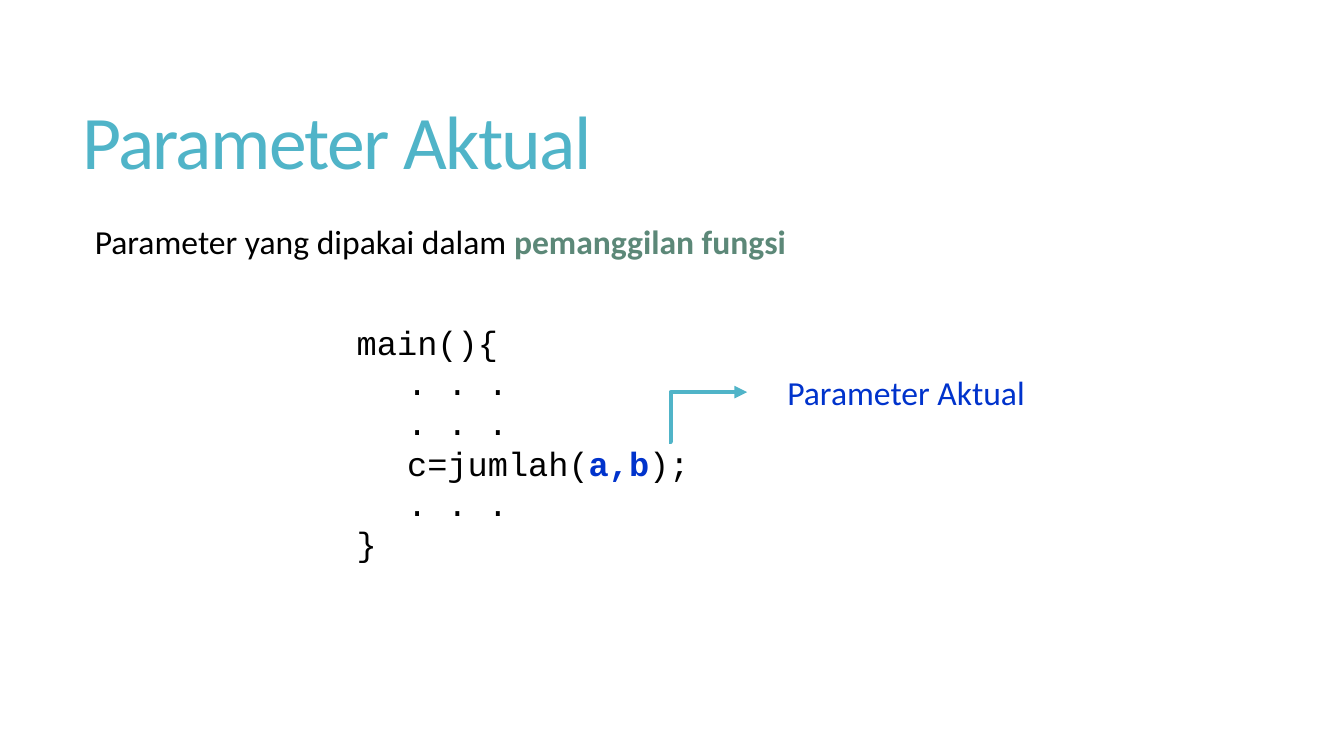
from pptx import Presentation, util as u
from pptx.dml.color import RGBColor
from pptx.enum import shapes, text
from pptx.oxml import ns
from lxml import etree

HUES = {"teal": "50B4C8", "black": "000000", "green": "5C8878",
        "blue": "0033CC", "white": "FFFFFF"}
CODE = [
    [("main(){", "black")],
    [("\t. . .", "black")],
    [("\t. . .", "black")],
    [("\tc=jumlah(", "black"), ("a,b", "blue", True), (");", "black")],
    [("\t. . .", "black")],
    [("}", "black")],
]


def hue(name):
    """Return the named colour."""
    return RGBColor.from_string(HUES[name])


def add_text(slide, box, lines, size=24, face="Calibri", frame=None, para=None):
    """Add a text box whose lines are lists of (words, colour, bold) runs."""
    shape = slide.shapes.add_textbox(*map(u.Inches, box))
    body = shape.text_frame
    for key, val in (frame or {}).items():
        setattr(body, key, val)
    for num, line in enumerate(lines):
        par = body.add_paragraph() if num else body.paragraphs[0]
        for key, val in (para or {}).items():
            setattr(par, key, val)
        for words, tint, *bold in line:
            run = par.add_run()
            run.text = words
            look = {"size": u.Pt(size), "name": face, "bold": bool(bold)}
            for key, val in look.items():
                setattr(run.font, key, val)
            run.font.color.rgb = hue(tint)
    return shape


def add_title(slide, box, words):
    """Add the large, tightly spaced heading."""
    shape = add_text(slide, box, [[(words, "teal")]], 54,
                     frame={"word_wrap": True,
                            "vertical_anchor": text.MSO_ANCHOR.MIDDLE},
                     para={"line_spacing": 0.85})
    run = shape.text_frame.paragraphs[0].runs[0]
    run.font._element.set("spc", "-120")


def add_arrow(slide, start, end, bend):
    """Add an elbow arrow that turns at the given share of its width."""
    ends = map(u.Inches, start + end)
    link = slide.shapes.add_connector(shapes.MSO_CONNECTOR.ELBOW, *ends)
    link.line.color.rgb = hue("teal")
    link.line.width = u.Pt(3)
    props = link._element.spPr
    guides = props.find(ns.qn("a:prstGeom")).get_or_add_avLst()
    etree.SubElement(guides, ns.qn("a:gd"), name="adj1",
                     fmla=f"val {round(bend * 100000)}")
    etree.SubElement(link.line._get_or_add_ln(), ns.qn("a:tailEnd"),
                     type="triangle")
    etree.SubElement(props, ns.qn("a:effectLst"))


def main():
    """Build and save the slide."""
    deck = Presentation()
    deck.slide_width, deck.slide_height = u.Inches(13.33), u.Inches(7.5)
    slide = deck.slides.add_slide(deck.slide_layouts[6])
    tight = {"word_wrap": False, "auto_size": text.MSO_AUTO_SIZE.SHAPE_TO_FIT_TEXT}

    add_title(slide, (0.72, 0.55, 11.78, 1.81), "Parameter Aktual")
    intro = [("Parameter yang dipakai dalam ", "black"),
             ("pemanggilan fungsi", "green", True)]
    note = add_text(slide, (0.74, 2.2, 11.76, 4.12), [intro],
                    frame={"word_wrap": True}, para={"line_spacing": 0.85})
    note.text_frame.margin_left = u.Inches(0.2)
    code = add_text(slide, (3.44, 3.14, 4.03, 2.52), CODE,
                    face="Courier New", frame=tight)
    code.fill.solid()
    code.fill.fore_color.rgb = hue("white")
    add_text(slide, (7.71, 3.64, 2.58, 0.5),
             [[("Parameter Aktual", "blue")]], frame=tight)
    add_arrow(slide, (6.64, 4.38), (7.41, 3.89), 0.016)
    deck.save("out.pptx")


if __name__ == "__main__":
    main()
